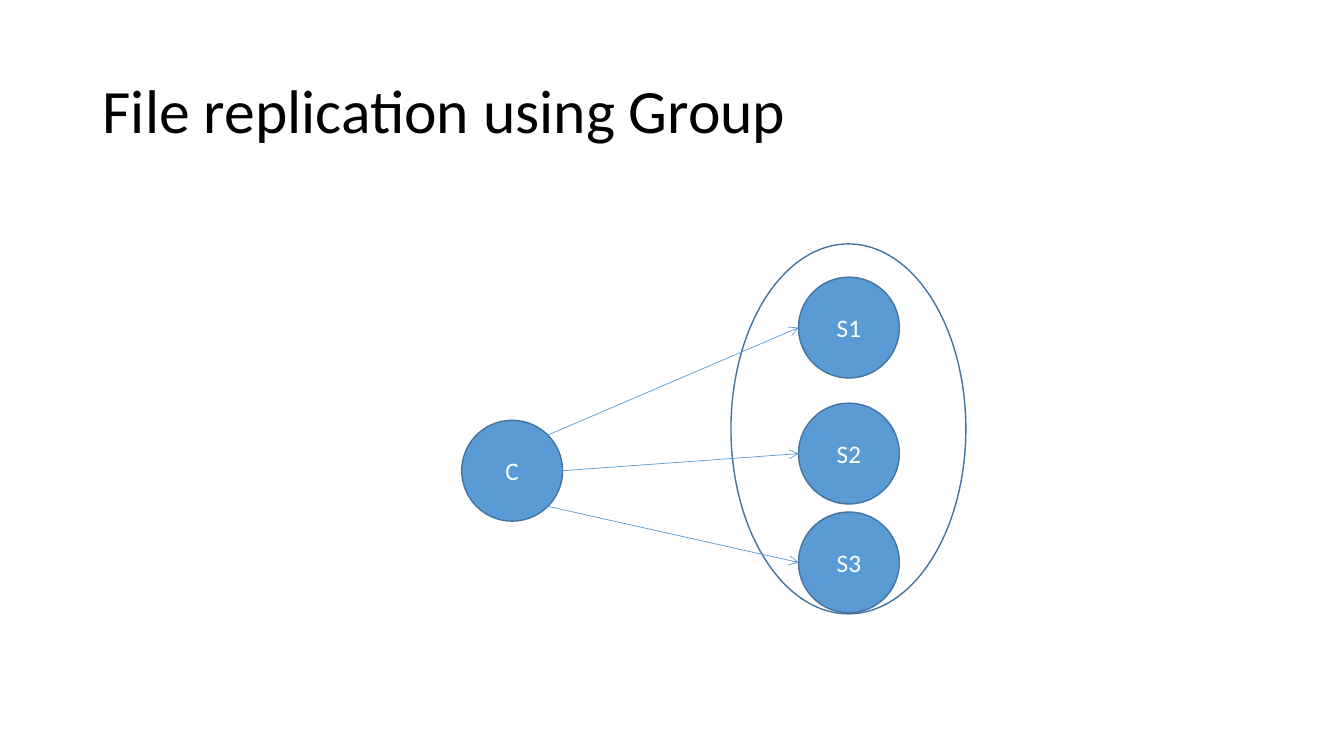
from math import cos, radians, sin

from lxml import etree
from pptx import Presentation
from pptx.dml.color import RGBColor
from pptx.enum.shapes import MSO_CONNECTOR, MSO_SHAPE
from pptx.enum.text import MSO_ANCHOR, PP_ALIGN
from pptx.oxml.ns import qn
from pptx.util import Inches, Pt

OVAL = MSO_SHAPE.OVAL
STRAIGHT = MSO_CONNECTOR.STRAIGHT
MIDDLE = MSO_ANCHOR.MIDDLE
CENTER = PP_ALIGN.CENTER
BLACK = RGBColor(0x00, 0x00, 0x00)
WHITE = RGBColor(0xFF, 0xFF, 0xFF)
BLUE = RGBColor(0x5B, 0x9B, 0xD5)
EDGE = RGBColor(0x43, 0x73, 0x9E)
FONT = "Calibri"
NODE = 1.0
SERVERS = [("S1", 0.33, -45), ("S2", 1.58, 0), ("S3", 2.66, 45)]


def add_run(para, text, size, color):
    """Add one styled run to a paragraph."""
    run = para.add_run()
    run.text = text
    run.font.name = FONT
    run.font.size = Pt(size)
    run.font.color.rgb = color


def add_title(slide, text, left, top, width, height):
    """Place the slide title in its box."""
    box = slide.shapes.add_textbox(
        Inches(left), Inches(top), Inches(width), Inches(height))
    frame = box.text_frame
    frame.word_wrap = True
    frame.vertical_anchor = MIDDLE
    para = frame.paragraphs[0]
    para.line_spacing = 0.9
    add_run(para, text, 44, BLACK)


def add_oval(slide, left, top, width, height):
    """Draw an unfilled ellipse with the dark blue edge."""
    oval = slide.shapes.add_shape(
        OVAL, Inches(left), Inches(top), Inches(width), Inches(height))
    oval.shadow.inherit = False
    oval.fill.background()
    oval.line.color.rgb = EDGE
    oval.line.width = Pt(1)
    return oval


def add_node(slide, label, left, top):
    """Draw a filled circle with a centred label."""
    node = add_oval(slide, left, top, NODE, NODE)
    node.fill.solid()
    node.fill.fore_color.rgb = BLUE
    frame = node.text_frame
    frame.vertical_anchor = MIDDLE
    para = frame.paragraphs[0]
    para.alignment = CENTER
    add_run(para, label, 18, WHITE)


def add_arrow(slide, start, end):
    """Draw a thin line with an open arrowhead at its end."""
    points = [Inches(value) for value in (*start, *end)]
    arrow = slide.shapes.add_connector(STRAIGHT, *points)
    arrow.line.color.rgb = BLUE
    arrow.line.width = Pt(0.5)
    line = arrow.line._get_or_add_ln()
    etree.SubElement(line, qn("a:tailEnd"), type="arrow")
    etree.SubElement(arrow._element.spPr, qn("a:effectLst"))


def add_diagram(slide, left, top, width, height):
    """Draw the client, the server group and the arrows between them."""
    group = 2.33
    edge = left + width - group
    inner = edge + 0.67
    client = top + 1.75
    radius = NODE / 2
    add_node(slide, "C", left, client)
    for label, drop, angle in SERVERS:
        add_node(slide, label, inner, top + drop)
    add_oval(slide, edge, top, group, height)
    for label, drop, angle in SERVERS:
        turn = radians(angle)
        start = (left + radius + radius * cos(turn),
                 client + radius + radius * sin(turn))
        add_arrow(slide, start, (inner, top + drop + radius))


def main():
    """Build the slide and save it."""
    deck = Presentation()
    deck.slide_width = Inches(13.33)
    deck.slide_height = Inches(7.5)
    slide = deck.slides.add_slide(deck.slide_layouts[6])
    add_title(slide, "File replication using Group", 0.92, 0.4, 11.5, 1.45)
    add_diagram(slide, 4.58, 2.42, 5, 3.67)
    deck.save("out.pptx")


if __name__ == "__main__":
    main()
